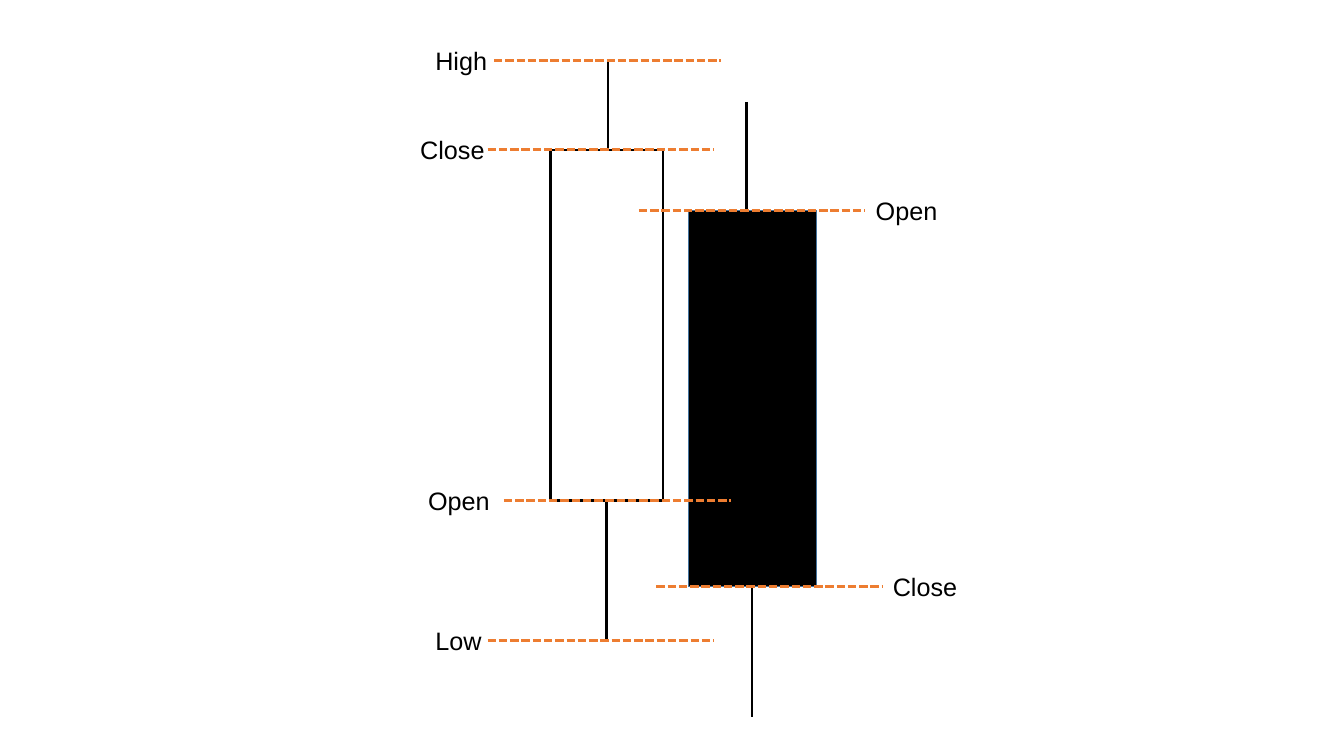
from lxml import etree
from pptx import Presentation
from pptx.dml.color import RGBColor
from pptx.enum import dml, shapes, text
from pptx.oxml import ns
from pptx.util import Cm, Pt

COLOURS = {"ink": "000000", "paper": "FFFFFF", "edge": "43739E", "level": "ED7D31"}
LEVEL_LENGTH = 5.71
LABEL_HEIGHT = 1.02

# left, top, width, height, fill, outline, outline points
BODIES = [
    (13.87, 3.78, 2.84, 8.84, "paper", "ink", 2),
    (17.35, 5.31, 3.23, 9.47, "ink", "edge", 1),
]
# x, top, bottom
WICKS = [
    (15.32, 1.52, 3.78),
    (15.29, 12.62, 16.15),
    (18.82, 2.57, 5.31),
    (18.95, 14.78, 18.08),
]
# price, y, line start, label left, label width
LEVELS = [
    ("Close", 3.76, 12.29, 10.34, 2.34),
    ("Open", 12.62, 12.7, 10.54, 2.34),
    ("Low", 16.15, 12.29, 10.72, 2.34),
    ("High", 1.52, 12.45, 10.72, 1.98),
    ("Open", 5.31, 16.1, 21.82, 2.34),
    ("Close", 14.78, 16.54, 22.25, 2.34),
]


def colour(name):
    return RGBColor.from_string(COLOURS[name])


def add_body(slide, left, top, width, height, fill, outline, points):
    body = slide.shapes.add_shape(
        shapes.MSO_SHAPE.RECTANGLE, Cm(left), Cm(top), Cm(width), Cm(height))
    body.shadow.inherit = False
    body.fill.solid()
    body.fill.fore_color.rgb = colour(fill)
    body.line.color.rgb = colour(outline)
    body.line.width = Pt(points)


def add_line(slide, x1, y1, x2, y2, ink):
    line = slide.shapes.add_connector(
        shapes.MSO_CONNECTOR.STRAIGHT, Cm(x1), Cm(y1), Cm(x2), Cm(y2))
    line.line.color.rgb = colour(ink)
    line.line.width = Pt(2)
    etree.SubElement(line._element.spPr, ns.qn("a:effectLst"))
    return line


def add_level(slide, y, start):
    """Draw the dashed line that marks a price."""
    level = add_line(slide, start, y, start + LEVEL_LENGTH, y, "level")
    level.line.dash_style = dml.MSO_LINE.SQUARE_DOT


def add_label(slide, price, y, left, width):
    """Write a price name centred on its level."""
    label = slide.shapes.add_textbox(
        Cm(left), Cm(y - LABEL_HEIGHT / 2), Cm(width), Cm(LABEL_HEIGHT))
    frame = label.text_frame
    frame.word_wrap = True
    frame.auto_size = text.MSO_AUTO_SIZE.SHAPE_TO_FIT_TEXT
    frame.text = price
    font = frame.paragraphs[0].font
    font.name = "Arial"
    font.size = Pt(18)
    font.color.rgb = colour("ink")


def main():
    deck = Presentation()
    deck.slide_width, deck.slide_height = Cm(33.87), Cm(19.05)
    slide = deck.slides.add_slide(deck.slide_layouts[6])
    for body in BODIES:
        add_body(slide, *body)
    for x, top, bottom in WICKS:
        add_line(slide, x, top, x, bottom, "ink")
    for price, y, start, left, width in LEVELS:
        add_level(slide, y, start)
        add_label(slide, price, y, left, width)
    deck.save("out.pptx")


if __name__ == "__main__":
    main()
